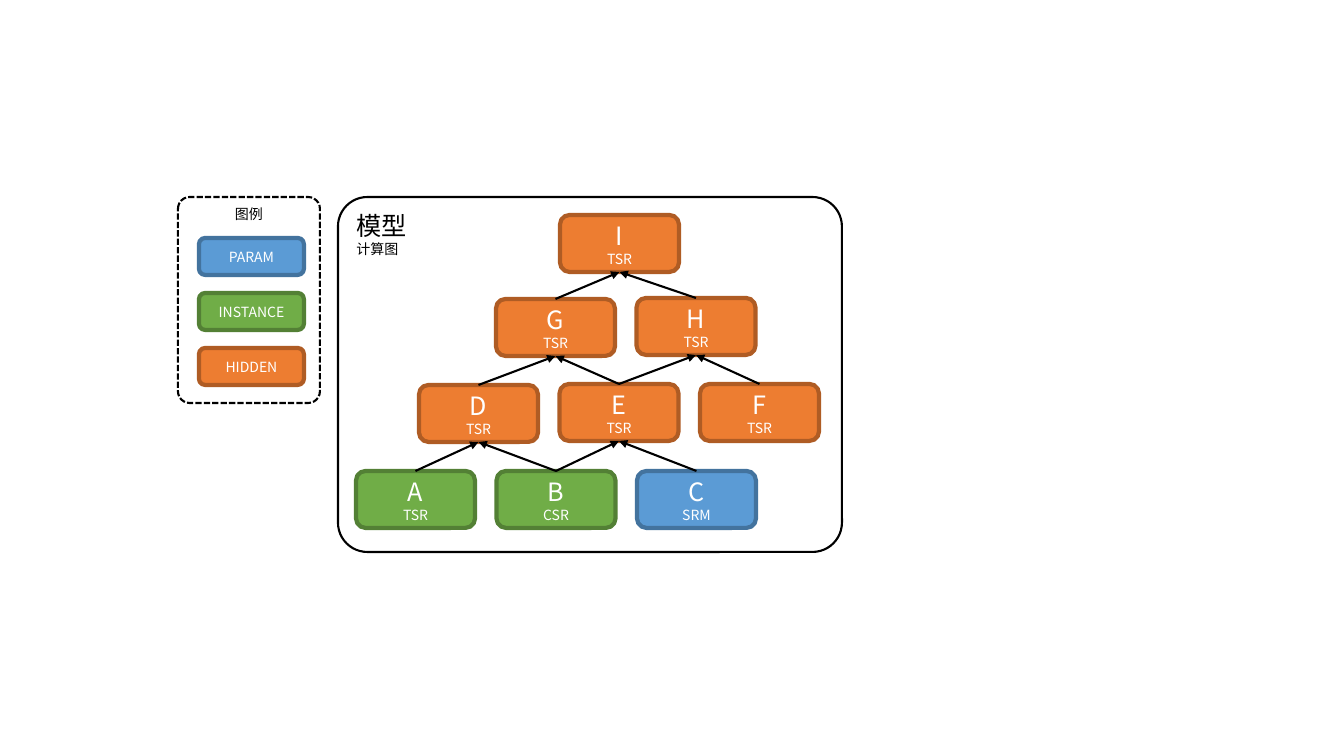
from lxml import etree
from pptx import Presentation
from pptx.dml.color import RGBColor
from pptx.enum.dml import MSO_LINE
from pptx.enum.shapes import MSO_CONNECTOR, MSO_SHAPE
from pptx.enum.text import MSO_ANCHOR, PP_ALIGN
from pptx.oxml.ns import qn
from pptx.util import Pt

ROUND, STRAIGHT = MSO_SHAPE.ROUNDED_RECTANGLE, MSO_CONNECTOR.STRAIGHT
LEFT, MID = PP_ALIGN.LEFT, PP_ALIGN.CENTER
TOP, CENTER = MSO_ANCHOR.TOP, MSO_ANCHOR.MIDDLE
DASH = MSO_LINE.SQUARE_DOT
PX = 914400 / 100.8
FONT = "Noto Sans CJK SC"
BIG, SMALL = 18, 10

HUES = {
    "ink": "000000", "white": "FFFFFF",
    "param": "5B9BD5", "param edge": "43739E",
    "instance": "70AD47", "instance edge": "538035",
    "hidden": "ED7D31", "hidden edge": "AF5C24",
}
MODEL = (338, 197, 504, 355), [("模型", BIG), ("计算图", SMALL)]
LEGEND = (178, 197, 142, 206), [("图例", SMALL)]
KEYS = ["param", "instance", "hidden"]
KEY_AT, KEY_SIZE, KEY_STEP = (199, 238), (105, 37), 55
NODE_SIZE, NODE_STEP = (119, 57), 140.5
ROWS = [
    (356, [("A", "TSR", "instance", 471), ("B", "CSR", "instance", 471),
           ("C", "SRM", "param", 471)]),
    (419, [("D", "TSR", "hidden", 385), ("E", "TSR", "hidden", 384),
           ("F", "TSR", "hidden", 384)]),
    (496, [("G", "TSR", "hidden", 299), ("H", "TSR", "hidden", 298)]),
    (560, [("I", "TSR", "hidden", 215)]),
]
LINKS = {"D": "AB", "E": "BC", "G": "DE", "H": "EF", "I": "GH"}


def emu(*nums):
    return [round(n * PX) for n in nums]


def tint(name):
    return RGBColor.from_string(HUES[name])


def put(item, **vals):
    for key, val in vals.items():
        setattr(item, key, val)


def box(at, lines, kind=None, align=MID, dash=None):
    shape = slide.shapes.add_shape(ROUND, *emu(*at))
    shape.shadow.inherit = False
    if kind:
        shape.fill.solid()
        shape.fill.fore_color.rgb = tint(kind)
    else:
        shape.fill.background()
        shape.adjustments[0] = 0.083
    shape.line.color.rgb = tint(f"{kind} edge" if kind else "ink")
    put(shape.line, width=Pt(3 if kind else 1.5), dash_style=dash)
    frame = shape.text_frame
    put(frame, word_wrap=True, vertical_anchor=CENTER if kind else TOP)
    for i, (text, size) in enumerate(lines):
        para = frame.add_paragraph() if i else frame.paragraphs[0]
        para.alignment = align
        run = para.add_run()
        run.text = text
        put(run.font, name=FONT, size=Pt(size))
        run.font.color.rgb = tint("white" if kind else "ink")
        east = etree.Element(qn("a:ea"), typeface=FONT)
        run.font._element.find(qn("a:latin")).addnext(east)
    return shape


def link(head, foot):
    line = slide.shapes.add_connector(STRAIGHT, 0, 0, 0, 0)
    line.begin_connect(head, 2)
    line.end_connect(foot, 0)
    line.line.color.rgb = tint("ink")
    line.line.width = Pt(1.5)
    props = line._element.spPr
    etree.SubElement(props.find(qn("a:ln")), qn("a:headEnd"), type="triangle")
    etree.SubElement(props, qn("a:effectLst"))


deck = Presentation()
put(deck, slide_width=round(1344 * PX), slide_height=round(756 * PX))
slide = deck.slides.add_slide(deck.slide_layouts[6])

box(*MODEL, align=LEFT)
nodes = {}
for left, row in ROWS:
    for i, (name, form, kind, top) in enumerate(row):
        at = (left + i * NODE_STEP, top, *NODE_SIZE)
        nodes[name] = box(at, [(name, BIG), (form, SMALL)], kind)
for head, feet in LINKS.items():
    for foot in feet:
        link(nodes[head], nodes[foot])

box(*LEGEND, dash=DASH)
for i, kind in enumerate(KEYS):
    left, top = KEY_AT
    box((left, top + i * KEY_STEP, *KEY_SIZE), [(kind.upper(), SMALL)], kind)

deck.save("out.pptx")
